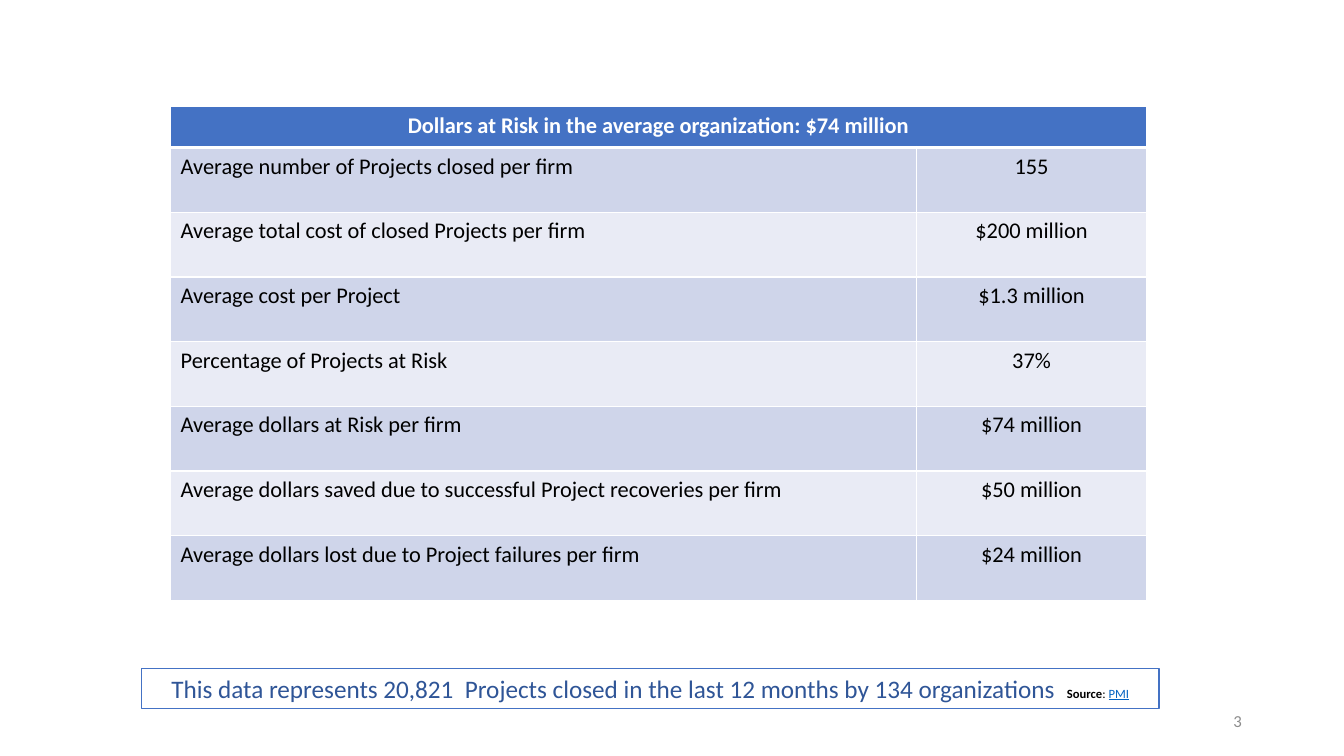
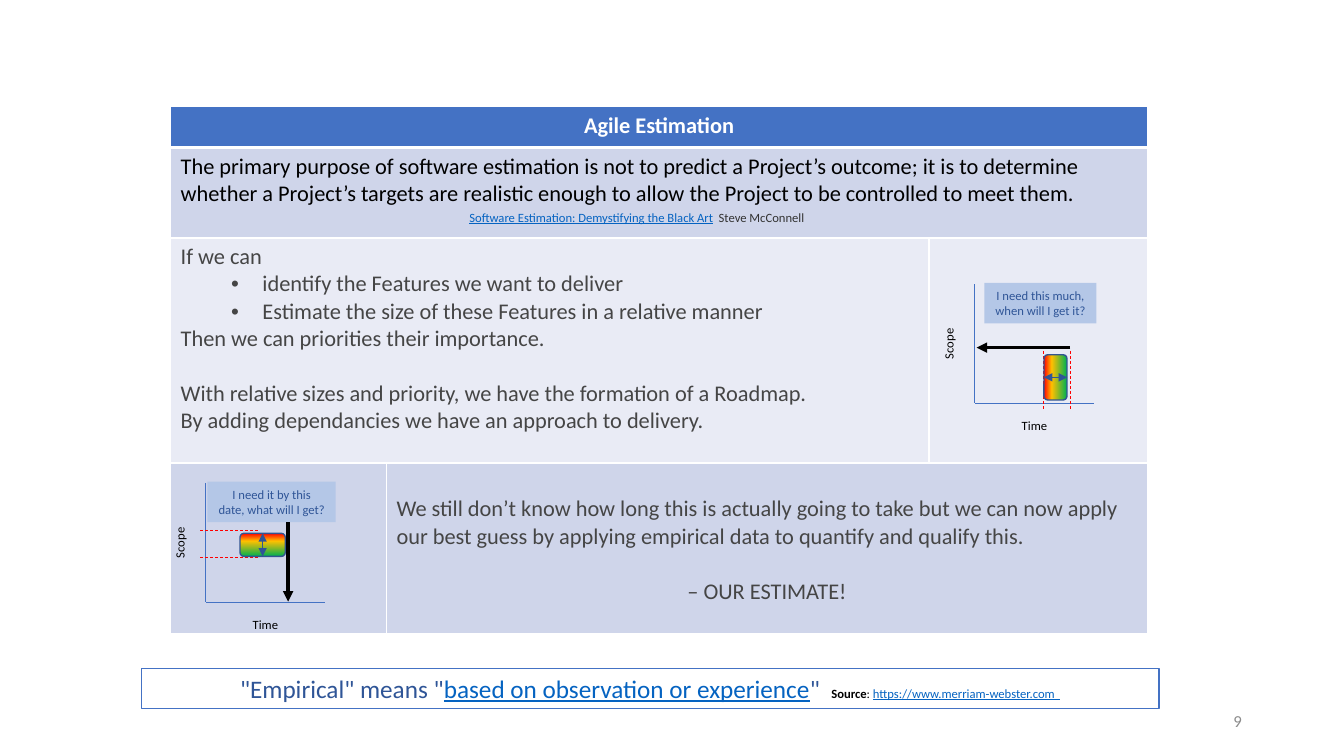
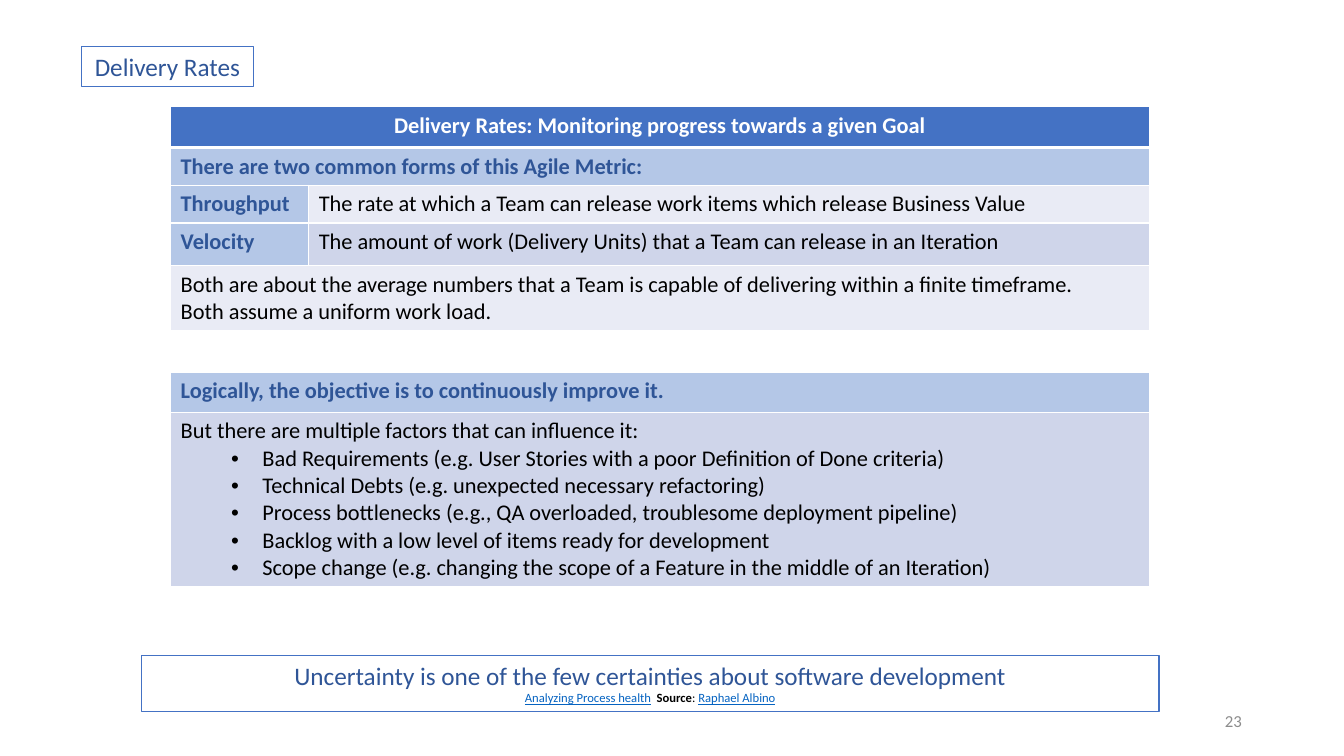
from dataclasses import dataclass, replace

from lxml import etree
from pptx import Presentation
from pptx import util as u
from pptx.dml.color import RGBColor
from pptx.enum import dml, shapes, text
from pptx.oxml.ns import qn

Cm, Pt = u.Cm, u.Pt
LEFT, CENTER, RIGHT = text.PP_ALIGN.LEFT, text.PP_ALIGN.CENTER, text.PP_ALIGN.RIGHT
TOP, MIDDLE = text.MSO_ANCHOR.TOP, text.MSO_ANCHOR.MIDDLE


@dataclass(frozen=True)
class Theme:
    font: str = "Calibri"
    blue: str = "4472C4"
    navy: str = "2F5597"
    pale: str = "B4C7E7"
    band_dark: str = "CFD5EA"
    band_light: str = "E9EBF5"
    white: str = "FFFFFF"
    black: str = "000000"
    slate: str = "454545"
    credit: str = "333333"
    link: str = "0563C1"
    page: str = "8C8C8C"
    bar_edge: str = "325491"
    red: str = "FF0000"
    heat: tuple = ((0, "FF0000"), (34, "FFC000"), (100, "00B050"))
    statement: int = 18
    body: int = 16
    page_size: int = 12
    small: int = 9


THEME = Theme()


@dataclass(frozen=True)
class Style:
    size: int
    color: str
    bold: bool = False
    underline: bool = False


BODY = Style(THEME.body, THEME.black)
SLATE = replace(BODY, color=THEME.slate)
HEADER = Style(THEME.body, THEME.white, bold=True)
SUBHEAD = Style(THEME.body, THEME.navy, bold=True)
STATEMENT = Style(THEME.statement, THEME.navy)
STATEMENT_LINK = Style(THEME.statement, THEME.link, underline=True)
SMALL = Style(THEME.small, THEME.black)
SMALL_BOLD = replace(SMALL, bold=True)
SMALL_LINK = Style(THEME.small, THEME.link, underline=True)
CALLOUT = Style(THEME.small, THEME.navy)
CREDIT = Style(THEME.small, THEME.credit)
PAGE = Style(THEME.page_size, THEME.page)


@dataclass(frozen=True)
class Line:
    """One paragraph; runs are (text, style) pairs, gap is the space before in points."""
    runs: tuple
    align: int = LEFT
    bullet: bool = False
    gap: float = 0


def line(words, style=BODY, **options):
    return Line(((words, style),), **options)


@dataclass(frozen=True)
class Cell:
    lines: tuple
    fill: str
    span: int = 1
    top_margin: float = 0.13


LINE_GAP = 19.5
TABLE_LEFT, TABLE_TOP, HEADER_HEIGHT = 4.3, 2.69, 1.03
DARK, LIGHT = THEME.band_dark, THEME.band_light
SOURCE = (("Source", SMALL_BOLD), (": ", SMALL))

RISKS = [
    ("Average number of Projects closed per firm", "155"),
    ("Average total cost of closed Projects per firm", "$200 million"),
    ("Average cost per Project", "$1.3 million"),
    ("Percentage of Projects at Risk", "37%"),
    ("Average dollars at Risk per firm", "$74 million"),
    ("Average dollars saved due to successful Project recoveries per firm", "$50 million"),
    ("Average dollars lost due to Project failures per firm", "$24 million"),
]
RISK_ROWS = [
    (1.63, [Cell((line(label),), fill), Cell((line(value, align=CENTER),), fill)])
    for (label, value), fill in zip(RISKS, [DARK, LIGHT] * 4)
]

ESTIMATION_ROWS = [
    (2.28, [Cell((line(
        "The primary purpose of software estimation is not to predict a Project’s outcome; "
        "it is to determine whether a Project’s targets are realistic enough to allow the "
        "Project to be controlled to meet them."),), DARK, span=3)]),
    (5.67, [
        Cell((
            line("If we can", SLATE),
            line("identify the Features we want to deliver", SLATE, bullet=True),
            line("Estimate the size of these Features in a relative manner", SLATE, bullet=True),
            line("Then we can priorities their importance.", SLATE),
            line("With relative sizes and priority, we have the formation of a Roadmap.",
                 SLATE, gap=LINE_GAP),
            line("By adding dependancies we have an approach to delivery.", SLATE),
        ), LIGHT, span=2),
        Cell((), LIGHT),
    ]),
    (4.31, [
        Cell((), DARK),
        Cell((
            line("We still don’t know how long this is actually going to take but we can now "
                 "apply our best guess by applying empirical data to quantify and qualify this.",
                 SLATE),
            line("– OUR ESTIMATE!", SLATE, align=CENTER, gap=LINE_GAP),
        ), DARK, span=2, top_margin=0.82),
    ]),
]

FACTORS = [
    "Bad Requirements (e.g. User Stories with a poor Definition of Done criteria)",
    "Technical Debts (e.g. unexpected necessary refactoring)",
    "Process bottlenecks (e.g., QA overloaded, troublesome deployment pipeline)",
    "Backlog with a low level of items ready for development",
    "Scope change (e.g. changing the scope of a Feature in the middle of an Iteration)",
]
RATE_ROWS = [
    (0.95, [Cell((line("There are two common forms of this Agile Metric:", SUBHEAD),),
                 THEME.pale, span=2)]),
    (0.95, [Cell((line("Throughput", SUBHEAD),), THEME.pale),
            Cell((line("The rate at which a Team can release work items which release "
                       "Business Value"),), LIGHT)]),
    (1.07, [Cell((line("Velocity", SUBHEAD),), THEME.pale),
            Cell((line("The amount of work (Delivery Units) that a Team can release in an "
                       "Iteration"),), DARK)]),
    (1.63, [Cell((line("Both are about the average numbers that a Team is capable of "
                       "delivering within a finite timeframe."),
                  line("Both assume a uniform work load.")), LIGHT, span=2)]),
    (1.05, [Cell((), THEME.white, span=2)]),
    (1.01, [Cell((line("Logically, the objective is to continuously improve it.", SUBHEAD),),
                 THEME.pale, span=2)]),
    (4.35, [Cell((line("But there are multiple factors that can influence it:"),
                  *(line(factor, bullet=True) for factor in FACTORS)), DARK, span=2)]),
]

SLIDES = [
    dict(
        number=3,
        header="Dollars at Risk in the average organization: $74 million",
        widths=(18.8, 5.79),
        rows=RISK_ROWS,
        statement_box=(3.56, 16.84, 25.65, 1.02),
        statement=[Line((
            ("This data represents 20,821  Projects closed in the last 12 months "
             "by 134 organizations  ", STATEMENT),
            *SOURCE, ("PMI", SMALL_LINK)), CENTER)],
    ),
    dict(
        number=9,
        header="Agile Estimation",
        widths=(5.44, 13.67, 5.51),
        rows=ESTIMATION_ROWS,
        statement_box=(3.56, 16.84, 25.65, 1.02),
        statement=[Line((
            ('"Empirical" means "', STATEMENT),
            ("based on observation or experience", STATEMENT_LINK),
            ('"\u00a0\u00a0', STATEMENT),
            *SOURCE, ("https://www.merriam-webster.com  ", SMALL_LINK)), CENTER)],
    ),
    dict(
        number=23,
        header="Delivery Rates: Monitoring progress towards a given Goal",
        widths=(3.48, 21.18),
        rows=RATE_ROWS,
        title="Delivery Rates",
        statement_box=(3.56, 16.51, 25.65, 1.42),
        statement=[
            line("Uncertainty is one of the few certainties about software development",
                 STATEMENT, align=CENTER),
            Line((("Analyzing Process health", SMALL_LINK), ("  ", SMALL),
                  *SOURCE, ("Raphael Albino", SMALL_LINK)), CENTER),
        ],
    ),
]

CITATION = Line((("Software Estimation: Demystifying the Black Art", SMALL_LINK),
                 ("  ", SMALL), ("Steve McConnell", CREDIT)))

# Positions in cm; bar_sides are the connection sites joined by the double arrow.
DIAGRAMS = [
    dict(origin=(5.18, 12.17), callout=("I need it by this", "date, what will I get?"),
         callout_offset=0.05, callout_width=3.23,
         arrow=(7.26, 13.16, 7.26, 15.16),
         bar=(6.05, 13.44, 1.14, 0.58), angle=270, bar_sides=(0, 2),
         limits=[(5.05, 13.36, 6.55, 13.36), (5.05, 14.05, 6.55, 14.05)]),
    dict(origin=(24.56, 7.16), callout=("I need this much,", "when will I get it?"),
         callout_offset=0.25, callout_width=2.82,
         arrow=(26.97, 8.76, 24.61, 8.76),
         bar=(26.31, 8.94, 0.58, 1.14), angle=0, bar_sides=(1, 3),
         limits=[(26.97, 8.84, 26.97, 10.34), (26.29, 8.84, 26.29, 10.34)]),
]
AXIS = 3.0


def rgb(color):
    return RGBColor.from_string(color)


def cm(values):
    return [Cm(value) for value in values]


def set_font(font, style):
    font.name, font.size, font.bold = THEME.font, Pt(style.size), style.bold
    font.underline = style.underline
    font.color.rgb = rgb(style.color)


def write(frame, lines):
    for index, item in enumerate(lines):
        paragraph = frame.paragraphs[0] if index == 0 else frame.add_paragraph()
        paragraph.alignment = item.align
        if item.gap:
            paragraph.space_before = Pt(item.gap)
        if item.bullet:
            properties = paragraph._p.get_or_add_pPr()
            properties.set("marL", str(Cm(2.06)))
            properties.set("indent", str(Cm(-0.79)))
            etree.SubElement(properties, qn("a:buFont")).set("typeface", "Arial")
            etree.SubElement(properties, qn("a:buChar")).set("char", "•")
        for words, style in item.runs:
            run = paragraph.add_run()
            run.text = words
            if len(item.runs) > 1:
                set_font(run.font, style)
        if len(item.runs) == 1:
            set_font(paragraph.font, item.runs[0][1])


def add_text(slide, box, lines, anchor=TOP, wrap=True):
    shape = slide.shapes.add_textbox(*cm(box))
    shape.text_frame.word_wrap = wrap
    shape.text_frame.vertical_anchor = anchor
    write(shape.text_frame, lines)
    return shape


def add_box(slide, box, lines, fill=None, edge=None, wrap=True):
    shape = slide.shapes.add_shape(shapes.MSO_SHAPE.RECTANGLE, *cm(box))
    shape.shadow.inherit = False
    if fill:
        shape.fill.solid()
        shape.fill.fore_color.rgb = rgb(fill)
    else:
        shape.fill.background()
    if edge:
        shape.line.color.rgb = rgb(edge)
        shape.line.width = Pt(0.75)
    else:
        shape.line.fill.background()
    shape.text_frame.word_wrap = wrap
    shape.text_frame.vertical_anchor = TOP
    write(shape.text_frame, lines)


def add_line(slide, ends, color, width, dashed=False, arrows=()):
    """Draw a straight line; arrows names the ends (headEnd, tailEnd) that get a triangle."""
    connector = slide.shapes.add_connector(shapes.MSO_CONNECTOR.STRAIGHT, *cm(ends))
    connector.line.color.rgb = rgb(color)
    connector.line.width = Pt(width)
    if dashed:
        connector.line.dash_style = dml.MSO_LINE.DASH
    properties = connector._element.spPr
    for end in arrows:
        etree.SubElement(properties.find(qn("a:ln")), qn(f"a:{end}")).set("type", "triangle")
    etree.SubElement(properties, qn("a:effectLst"))
    return connector


def set_borders(cell, bottom):
    properties = cell._tc.get_or_add_tcPr()
    for side, width in (("lnL", 1), ("lnR", 1), ("lnT", 1), ("lnB", bottom)):
        border = etree.SubElement(properties, qn(f"a:{side}"), w=str(Pt(width)))
        fill = etree.SubElement(border, qn("a:solidFill"))
        etree.SubElement(fill, qn("a:srgbClr")).set("val", THEME.white)


def add_grid(slide, header, widths, rows):
    title = Cell((line(header, HEADER, align=CENTER),), THEME.blue, span=len(widths))
    rows = [(HEADER_HEIGHT, [title]), *rows]
    size = (sum(widths), sum(height for height, _ in rows))
    table = slide.shapes.add_table(len(rows), len(widths),
                                   *cm((TABLE_LEFT, TABLE_TOP, *size))).table
    for column, width in zip(table.columns, widths):
        column.width = Cm(width)
    for row_index, (height, cells) in enumerate(rows):
        table.rows[row_index].height = Cm(height)
        column_index = 0
        for content in cells:
            last = column_index + content.span - 1
            cell = table.cell(row_index, column_index)
            if content.span > 1:
                cell.merge(table.cell(row_index, last))
            for index in range(column_index, last + 1):
                part = table.cell(row_index, index)
                set_borders(part, bottom=3 if row_index == 0 else 1)
                part.fill.solid()
                part.fill.fore_color.rgb = rgb(content.fill)
            cell.margin_top = Cm(content.top_margin)
            write(cell.text_frame, content.lines)
            column_index = last + 1


def add_heat_bar(slide, box, angle):
    bar = slide.shapes.add_shape(shapes.MSO_SHAPE.ROUNDED_RECTANGLE, *cm(box))
    bar.shadow.inherit = False
    bar.fill.gradient()
    bar.fill.gradient_angle = angle
    stops = bar._element.spPr.find(qn("a:gradFill")).find(qn("a:gsLst"))
    for stop in list(stops):
        stops.remove(stop)
    for position, color in THEME.heat:
        stop = etree.SubElement(stops, qn("a:gs"), pos=str(position * 1000))
        etree.SubElement(stop, qn("a:srgbClr")).set("val", color)
    bar.line.color.rgb = rgb(THEME.bar_edge)
    bar.line.width = Pt(1)
    return bar


def add_diagram(slide, origin, callout, callout_offset, callout_width, arrow,
                bar, angle, bar_sides, limits):
    """Draw a scope/time chart sketch whose vertical axis starts at origin."""
    x, y = origin
    base = y + AXIS
    add_line(slide, (x, y, x, base), THEME.blue, 0.5)
    add_line(slide, (x + AXIS, base, x, base), THEME.blue, 0.5)
    scope = add_text(slide, (x - 1.3, y + 1.17, 1.3, 0.64), [line("Scope", SMALL)], wrap=False)
    scope.rotation = 270
    add_text(slide, (x + 0.94, base + 0.25, 1.17, 0.64), [line("Time", SMALL)], wrap=False)
    add_box(slide, (x + callout_offset, y - 0.03, callout_width, 1.02),
            [line(words, CALLOUT, align=CENTER) for words in callout],
            fill=THEME.pale, wrap=False)
    add_line(slide, arrow, THEME.black, 2.5, arrows=("tailEnd",))
    for limit in limits:
        add_line(slide, limit, THEME.red, 0.5, dashed=True)
    heat_bar = add_heat_bar(slide, bar, angle)
    spread = add_line(slide, (x, y, x, y), THEME.navy, 0.25, arrows=("headEnd", "tailEnd"))
    spread.begin_connect(heat_bar, bar_sides[0])
    spread.end_connect(heat_bar, bar_sides[1])


def add_page(presentation, number, header, widths, rows, statement_box, statement, title=None):
    slide = presentation.slides.add_slide(presentation.slide_layouts[6])
    add_grid(slide, header, widths, rows)
    add_box(slide, statement_box, statement, edge=THEME.blue)
    if title:
        add_box(slide, (2.06, 1.17, 4.32, 1.02), [line(title, STATEMENT, align=CENTER)],
                edge=THEME.blue)
    add_text(slide, (23.93, 17.65, 7.62, 1.02), [line(str(number), PAGE, align=RIGHT)], MIDDLE)
    return slide


def main():
    presentation = Presentation()
    presentation.slide_width, presentation.slide_height = Cm(33.87), Cm(19.05)
    _, estimation, _ = [add_page(presentation, **content) for content in SLIDES]
    add_text(estimation, (11.58, 5.16, 9.09, 0.64), [CITATION], MIDDLE, wrap=False)
    for diagram in DIAGRAMS:
        add_diagram(estimation, **diagram)
    presentation.save("out.pptx")


if __name__ == "__main__":
    main()
